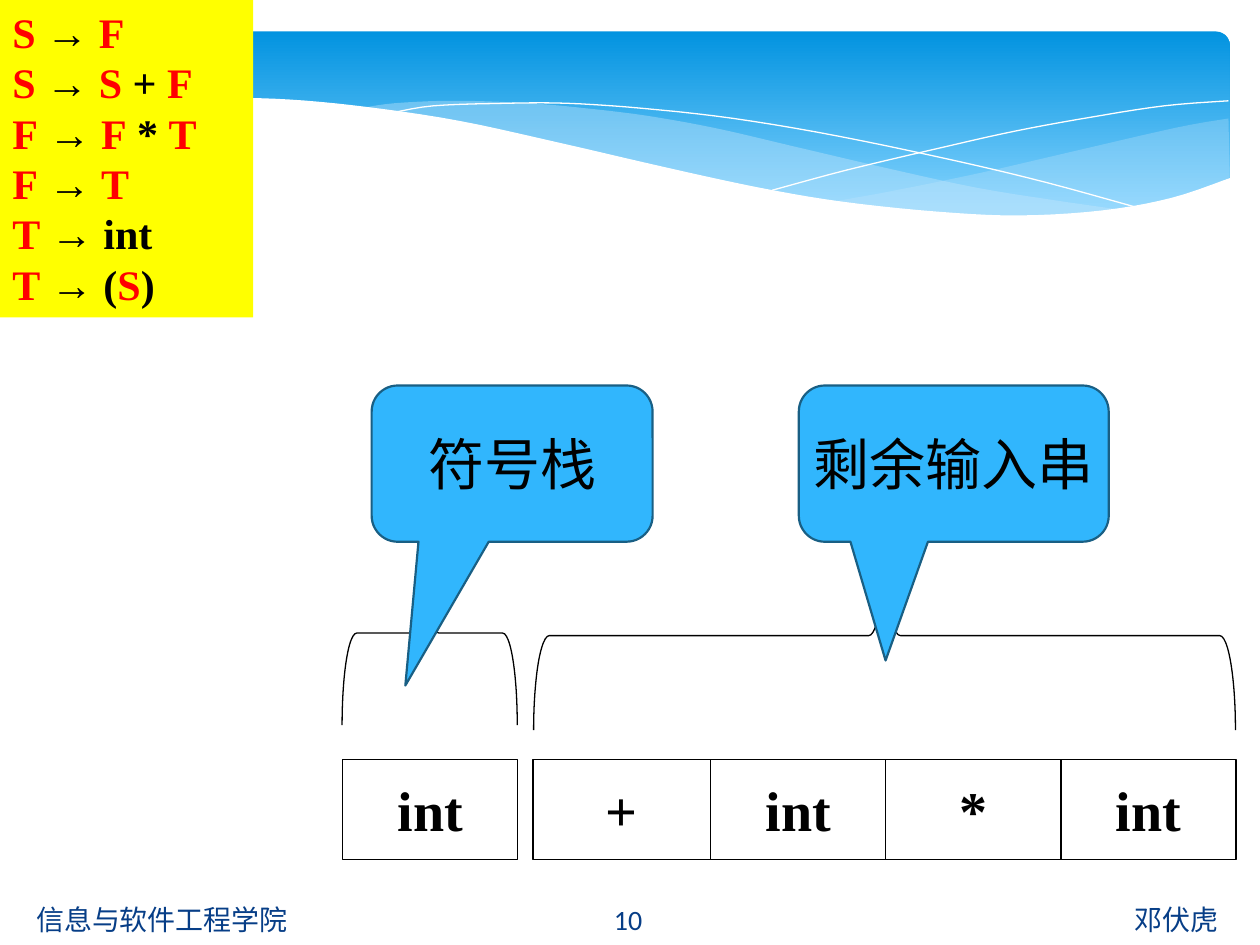
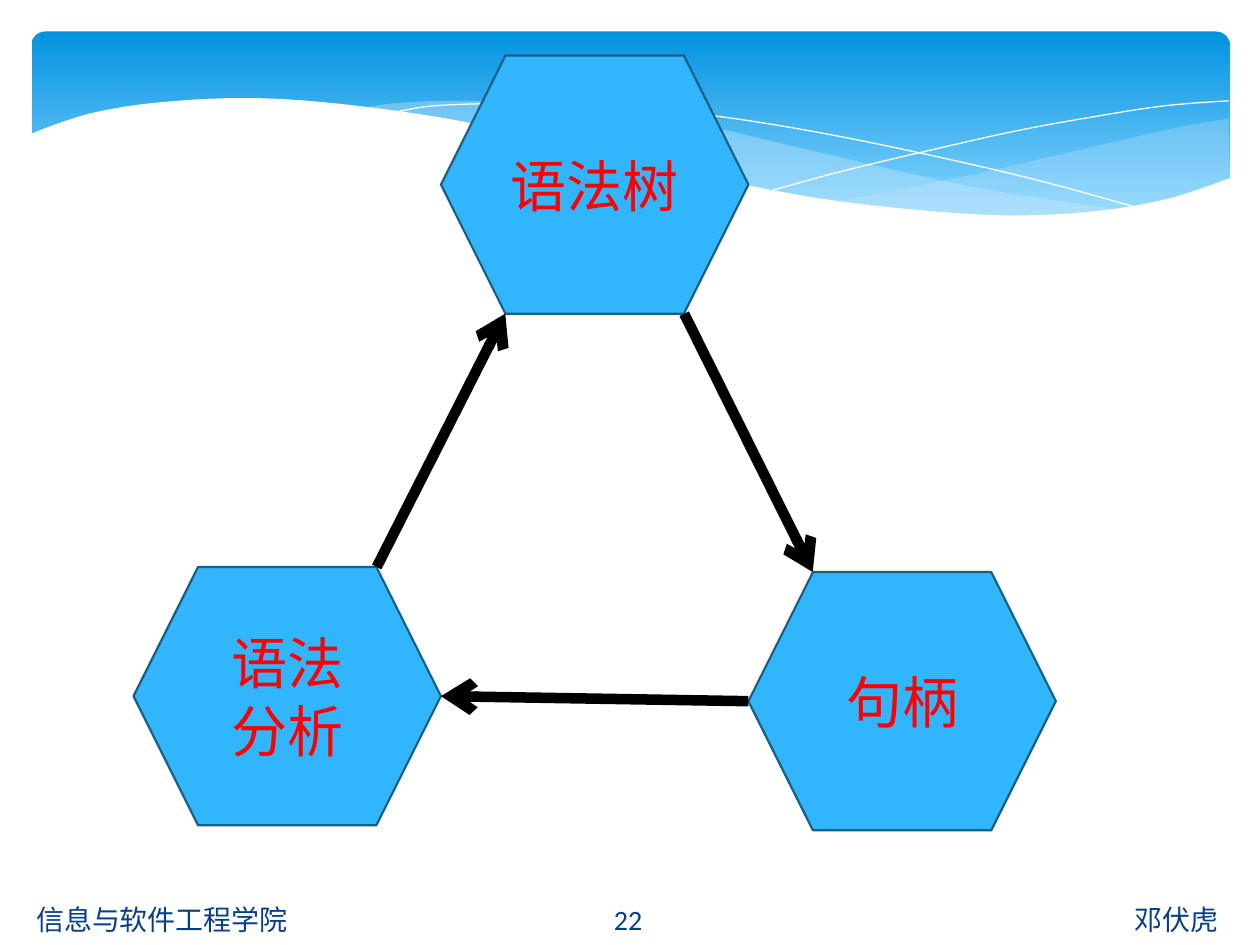
import itertools
from dataclasses import dataclass

import pptx
import pptx.dml.color
import pptx.enum.shapes
import pptx.enum.text
import pptx.oxml.ns
import pptx.oxml.xmlchemy
import pptx.presentation
import pptx.shapes.autoshape
import pptx.slide
import pptx.util

PX = 9144  # EMU per px, 100 px to the inch
COLOURS = {
    "black": "000000", "white": "FFFFFF", "red": "FF0000", "yellow": "FFFF00",
    "blue": "31B6FD", "outline": "195F84", "footer": "073E87",
    "band top": "0293E0", "band bottom": "83D3FE", "wave": "C6E7FC",
}
SERIF, SANS = "Times New Roman", "Calibri"
SHAPE = pptx.enum.shapes.MSO_SHAPE
ALIGN = pptx.enum.text.PP_ALIGN
ANCHOR = pptx.enum.text.MSO_ANCHOR
Point = tuple[float, float]


@dataclass(frozen=True)
class Box:
    left: int
    top: int
    width: int
    height: int

    def emu(self) -> tuple[int, int, int, int]:
        return self.left * PX, self.top * PX, self.width * PX, self.height * PX


@dataclass(frozen=True)
class TextStyle:
    size: int
    font: str
    colour: str
    bold: bool = False
    align: ALIGN = ALIGN.CENTER


@dataclass(frozen=True)
class Wave:
    """Smooth edges joined end to end; without a fill it is one open line."""
    edges: list[list[Point]]
    fill: str | None = None
    opacity: int = 100


@dataclass(frozen=True)
class Hexagon:
    box: Box
    lines: list[str]

    def corner(self, side: int, bottom: bool) -> Point:
        """Left (0) or right (1) end of the top or bottom edge."""
        box = self.box
        cut = min(box.width, box.height) // 4
        x = box.left + (box.width - cut if side else cut)
        return x, box.top + box.height * bottom

    def tip(self, side: int) -> Point:
        return self.box.left + self.box.width * side, self.box.top + self.box.height / 2


WAVES = [
    Wave([[(975, 94), (935, 101), (861, 118), (779, 137), (706, 152), (661, 160)],
          [(661, 160), (705, 165), (757, 170), (814, 172), (863, 170), (905, 163),
           (942, 154), (976, 141)]], "wave", 29),
    Wave([[(893, 167), (837, 159), (775, 149), (706, 134), (629, 116), (569, 102),
           (514, 92), (465, 86), (420, 82), (361, 80), (313, 82), (286, 86)],
          [(286, 86), (342, 94), (404, 106), (449, 116), (530, 135), (601, 150),
           (665, 161), (722, 168), (773, 172), (828, 173), (876, 169), (893, 167)]], "wave", 40),
    Wave([[(309, 90), (344, 84), (401, 82), (450, 82), (510, 86), (582, 94),
           (665, 108), (760, 128), (831, 145), (907, 166)]]),
    Wave([[(613, 151), (672, 135), (748, 117), (806, 104), (866, 93), (924, 84), (975, 80)]]),
    Wave([[(977, 141), (930, 157), (875, 167), (809, 171), (744, 168), (668, 160),
           (603, 149), (529, 133), (447, 114), (365, 96), (292, 85), (230, 79),
           (177, 78), (119, 82), (76, 89), (46, 98), (23, 107)],
          [(23, 224), (977, 224)]], "white"),
]
FOOTER = TextStyle(16, SANS, "footer")
SYMBOL = TextStyle(32, SERIF, "black", bold=True)
LABEL = TextStyle(32, SERIF, "black")
NODE = TextStyle(32, SERIF, "red")
GRAMMAR = ["S → F", "S → S + F", "F → F * T", "F → T", "T → int", "T → (S)"]


def rgb(name: str) -> pptx.dml.color.RGBColor:
    return pptx.dml.color.RGBColor.from_string(COLOURS[name])


def smooth(knots: list[Point], steps: int = 5) -> list[Point]:
    """Catmull-Rom curve through the knots."""
    padded = [knots[0], *knots, knots[-1]]
    curve = [knots[0]]
    for a, b, c, d in zip(padded, padded[1:], padded[2:], padded[3:]):
        for step in range(1, steps + 1):
            t = step / steps
            curve.append(tuple(
                (2 * q + (r - p) * t + (2 * p - 5 * q + 4 * r - s) * t ** 2
                 + (3 * q - p - 3 * r + s) * t ** 3) / 2
                for p, q, r, s in zip(a, b, c, d)))
    return curve


def paint(shape: pptx.shapes.autoshape.Shape, fill: str | None = None,
          line: str | None = None, line_width: float = 0.75) -> None:
    shape.shadow.inherit = False
    if fill:
        shape.fill.solid()
        shape.fill.fore_color.rgb = rgb(fill)
    else:
        shape.fill.background()
    if line:
        shape.line.color.rgb = rgb(line)
        shape.line.width = pptx.util.Pt(line_width)
    else:
        shape.line.fill.background()


def write(shape: pptx.shapes.autoshape.Shape, lines: list[str], style: TextStyle,
          capitals: str | None = None) -> None:
    """Fill the shape with one paragraph a line, capitals optionally coloured."""
    frame = shape.text_frame
    frame.word_wrap = True
    frame.vertical_anchor = ANCHOR.MIDDLE
    for index, line in enumerate(lines):
        para = frame.add_paragraph() if index else frame.paragraphs[0]
        para.alignment = style.align
        para.font.size = pptx.util.Pt(style.size)
        para.font.name = style.font
        para.font.bold = style.bold
        if not capitals:
            para.font.color.rgb = rgb(style.colour)
            para.add_run().text = line
            continue
        for is_capital, letters in itertools.groupby(line, str.isupper):
            span = para.add_run()
            span.text = "".join(letters)
            span.font.color.rgb = rgb(capitals if is_capital else style.colour)


def add_shape(page: pptx.slide.Slide, kind: SHAPE, box: Box, fill: str | None = None,
              line: str | None = None, line_width: float = 0.75) -> pptx.shapes.autoshape.Shape:
    shape = page.shapes.add_shape(kind, *box.emu())
    paint(shape, fill, line, line_width)
    return shape


def add_wave(page: pptx.slide.Slide, wave: Wave) -> None:
    points = [(x * PX, y * PX) for edge in wave.edges
              for x, y in (smooth(edge) if len(edge) > 2 else edge)]
    builder = page.shapes.build_freeform(*points[0])
    builder.add_line_segments(points[1:], close=wave.fill is not None)
    shape = builder.convert_to_shape()
    paint(shape, wave.fill, None if wave.fill else "white", 0)
    if wave.opacity < 100:
        colour = shape._element.spPr.find(".//" + pptx.oxml.ns.qn("a:srgbClr"))
        alpha = pptx.oxml.xmlchemy.OxmlElement("a:alpha")
        alpha.set("val", str(wave.opacity * 1000))
        colour.append(alpha)


def add_page(deck: pptx.presentation.Presentation) -> pptx.slide.Slide:
    """Blank page with the gradient band and its waves."""
    page = deck.slides.add_slide(deck.slide_layouts[6])
    band = add_shape(page, SHAPE.ROUNDED_RECTANGLE, Box(25, 25, 951, 156))
    band.adjustments[0] = 0.07
    band.fill.gradient()
    band.fill.gradient_angle = 270
    for stop, name, position in zip(band.fill.gradient_stops,
                                    ("band top", "band bottom"), (0, 0.9)):
        stop.color.rgb = rgb(name)
        stop.position = position
    for wave in WAVES:
        add_wave(page, wave)
    return page


def add_footer(page: pptx.slide.Slide, number: int) -> None:
    for left, width, text, align in (
            (19, 414, "信息与软件工程学院", ALIGN.LEFT),
            (435, 127, str(number), ALIGN.CENTER),
            (563, 414, "邓伏虎", ALIGN.RIGHT)):
        field = page.shapes.add_textbox(*Box(left, 710, width, 40).emu())
        write(field, [text], TextStyle(FOOTER.size, FOOTER.font, FOOTER.colour, align=align))


def add_brace(page: pptx.slide.Slide, box: Box, middle: float) -> None:
    """Brace pointing up; the box is its frame before the quarter turn."""
    brace = add_shape(page, SHAPE.LEFT_BRACE, box, line="black")
    brace.adjustments[1] = middle
    brace.rotation = 90


def add_callout(page: pptx.slide.Slide, box: Box, tip: Point, text: str) -> None:
    """Callout whose tip is given as a share of its size, from its centre."""
    callout = add_shape(page, SHAPE.ROUNDED_RECTANGULAR_CALLOUT, box, "blue", "outline", 1.25)
    callout.adjustments[0], callout.adjustments[1] = tip
    callout.text_frame.margin_left = callout.text_frame.margin_right = 0
    write(callout, [text], LABEL)


def add_arrow(page: pptx.slide.Slide, start: Point, end: Point) -> None:
    ends = [round(value * PX) for value in (*start, *end)]
    arrow = page.shapes.add_connector(pptx.enum.shapes.MSO_CONNECTOR.STRAIGHT, *ends)
    arrow.line.color.rgb = rgb("black")
    arrow.line.width = pptx.util.Pt(6)
    properties = arrow._element.spPr
    head = pptx.oxml.xmlchemy.OxmlElement("a:tailEnd")
    head.set("type", "arrow")
    properties.find(pptx.oxml.ns.qn("a:ln")).append(head)
    properties.append(pptx.oxml.xmlchemy.OxmlElement("a:effectLst"))


def add_parsing_page(deck: pptx.presentation.Presentation) -> None:
    page = add_page(deck)
    cell_widths = [141, 139, 139, 139]
    cell_lefts = itertools.accumulate(cell_widths[:-1], initial=423)
    cells = [*zip(cell_lefts, cell_widths, ["+", "int", "*", "int"]), (272, 139, "int")]
    for left, width, symbol in cells:
        cell = add_shape(page, SHAPE.RECTANGLE, Box(left, 603, width, 79), line="black")
        write(cell, [symbol], SYMBOL)

    add_brace(page, Box(627, 226, 150, 557), 0.5)
    add_callout(page, Box(634, 306, 246, 124), (-0.22, 1.26), "剩余输入串")
    add_brace(page, Box(268, 433, 146, 139), 0.53)
    add_callout(page, Box(295, 306, 223, 124), (-0.38, 1.42), "符号栈")

    grammar = add_shape(page, SHAPE.RECTANGLE, Box(0, 0, 201, 252), "yellow")
    write(grammar, GRAMMAR, TextStyle(24, SERIF, "black", True, ALIGN.LEFT), capitals="red")
    grammar.text_frame.vertical_anchor = ANCHOR.TOP
    add_footer(page, 10)


def add_cycle_page(deck: pptx.presentation.Presentation) -> None:
    page = add_page(deck)
    add_footer(page, 22)
    tree = Hexagon(Box(350, 44, 244, 205), ["语法树"])
    handle = Hexagon(Box(594, 454, 244, 205), ["句柄"])
    analysis = Hexagon(Box(106, 450, 244, 205), ["语法", "分析"])
    for node in (tree, handle, analysis):
        write(add_shape(page, SHAPE.HEXAGON, node.box, "blue", "outline", 1.25), node.lines, NODE)
    add_arrow(page, analysis.corner(1, bottom=False), tree.corner(0, bottom=True))
    add_arrow(page, handle.tip(0), analysis.tip(1))
    add_arrow(page, tree.corner(1, bottom=True), handle.corner(0, bottom=False))


def main() -> None:
    deck = pptx.Presentation()
    deck.slide_width, deck.slide_height = 1000 * PX, 750 * PX
    add_parsing_page(deck)
    add_cycle_page(deck)
    deck.save("out.pptx")


if __name__ == "__main__":
    main()
